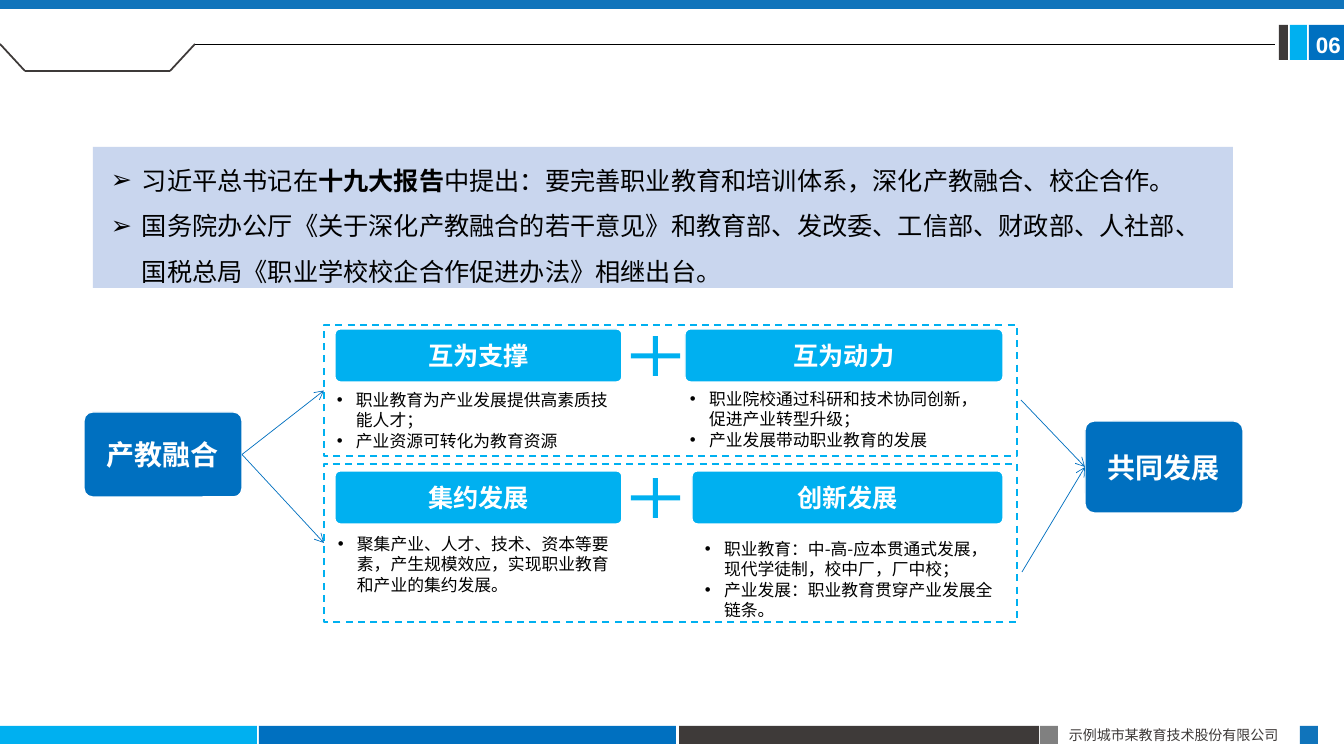
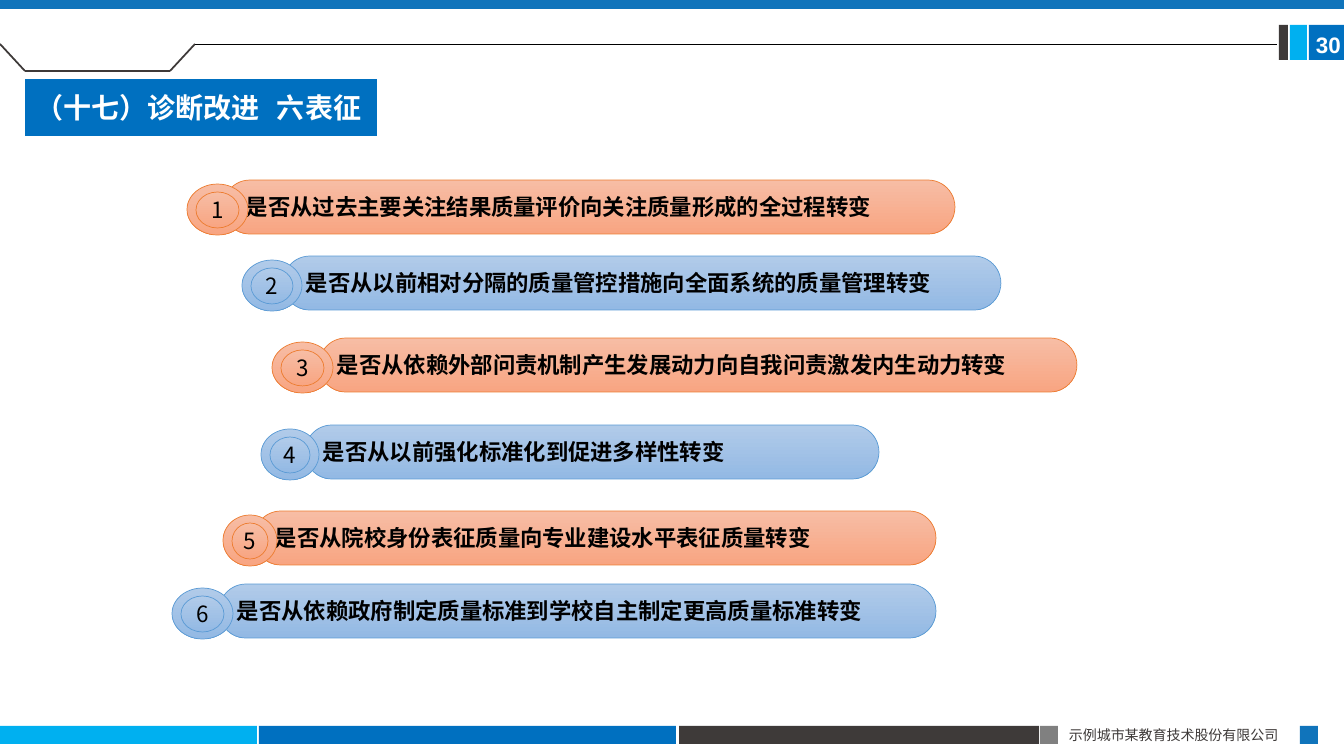
import lxml.etree
import pptx
import pptx.dml.color
import pptx.enum.dml
import pptx.enum.shapes
import pptx.enum.text
import pptx.oxml.ns
import pptx.util

PX = 12192000 / 1344  # EMU in one px
SKY, BLUE, BAND, DARK = "00B0F0", "0070C0", "1074BB", "3E3A39"
WHITE, BLACK = "FFFFFF", "000000"
CJK = "Noto Sans CJK SC"

color = pptx.dml.color.RGBColor.from_string
qn = pptx.oxml.ns.qn
SHAPE = pptx.enum.shapes.MSO_SHAPE
STRAIGHT = pptx.enum.shapes.MSO_CONNECTOR.STRAIGHT
ALIGN = pptx.enum.text.PP_ALIGN
ANCHOR = pptx.enum.text.MSO_ANCHOR


def add_box(page, kind, bounds, fill=None, line=None, line_width=1, adjust=None):
    """Add a shape, or a text box if kind is None; a pair of fills is a gradient."""
    bounds = [round(length * PX) for length in bounds]
    if kind is None:
        return page.shapes.add_textbox(*bounds)
    box = page.shapes.add_shape(kind, *bounds)
    box.shadow.inherit = False
    if adjust is not None:
        box.adjustments[0] = adjust
    if isinstance(fill, tuple):
        box.fill.gradient()
        box.fill.gradient_angle = 270
        for stop, shade in zip(box.fill.gradient_stops, fill):
            stop.color.rgb = color(shade)
    else:
        box.fill.solid()
        box.fill.fore_color.rgb = color(fill)
    if line:
        box.line.color.rgb = color(line)
        box.line.width = pptx.util.Pt(line_width)
    else:
        box.line.fill.background()
    return box


def write(box, *texts, size=12, ink=BLACK, bold=False, font=CJK, align=ALIGN.LEFT,
          anchor=ANCHOR.TOP, insets=(10, 5, 10, 5), wrap=True,
          bullet=None, indent=0, spacing=None, tab=None):
    """Write one paragraph per text; parts between ** are bold."""
    frame = box.text_frame
    frame.word_wrap = wrap
    frame.auto_size = pptx.enum.text.MSO_AUTO_SIZE.NONE
    frame.vertical_anchor = anchor
    (frame.margin_left, frame.margin_top,
     frame.margin_right, frame.margin_bottom) = [round(inset * PX) for inset in insets]
    for number, text in enumerate(texts):
        para = frame.add_paragraph() if number else frame.paragraphs[0]
        para.alignment = align
        if spacing:
            para.line_spacing = spacing
        properties = para._p.get_or_add_pPr()
        if bullet:
            properties.set("marL", str(round(indent * PX)))
            properties.set("indent", str(round(-indent * PX)))
            lxml.etree.SubElement(properties, qn("a:buFont"), typeface="Arial")
            lxml.etree.SubElement(properties, qn("a:buChar"), char=bullet)
        if tab:
            stops = lxml.etree.SubElement(properties, qn("a:tabLst"))
            lxml.etree.SubElement(stops, qn("a:tab"), pos=str(round(tab * PX)), algn="l")
        for index, part in enumerate(text.split("**")):
            span = para.add_run()
            span.text = part
            span.font.size = pptx.util.Pt(size)
            span.font.bold = bold or index % 2 == 1
            span.font.color.rgb = color(ink)
            span.font.name = font
            lxml.etree.SubElement(span._r.get_or_add_rPr(), qn("a:ea"), typeface=CJK)


deck = pptx.Presentation()
deck.slide_width = round(1344 * PX)
deck.slide_height = round(756 * PX)
TITLE_ONLY, BLANK = deck.slide_layouts[5], deck.slide_layouts[6]
fusion_page = deck.slides.add_slide(BLANK)
signs_page = deck.slides.add_slide(TITLE_ONLY)

# Bands, page number, header rule and footer of every page
BANDS = [
    (0, 0, 1344, 9, BAND),
    (0, 726, 257, 18, SKY),
    (259, 726, 417, 18, BLUE),
    (679, 726, 360, 18, DARK),
    (1040, 726, 18, 18, "808080"),
    (1300, 726, 18, 18, BAND),
    (1309, 25, 35, 35, BLUE),
    (1290, 25, 17, 35, SKY),
    (1279, 25, 9, 35, DARK),
]
NOTCH = [(0, 44), (25, 71), (170, 71), (195, 44)]
lines = []  # connector, colour, width in points, has arrowhead

for page, number, rule_end in [(fusion_page, "06", 1275), (signs_page, "30", 1277)]:
    for *bounds, fill in BANDS:
        add_box(page, SHAPE.RECTANGLE, bounds, fill)
    write(add_box(page, None, (1059, 722, 242, 27)), "示例城市某教育技术股份有限公司",
          size=10, ink=DARK, align=ALIGN.JUSTIFY)
    write(add_box(page, None, (1306, 26, 38, 37)), number,
          size=16, ink=WHITE, bold=True, font="Arial", wrap=False)
    segments = [(*pair, DARK, 1.25) for pair in zip(NOTCH, NOTCH[1:])]
    segments.append((NOTCH[-1], (rule_end, 44), BLACK, 0.5))
    for start, end, ink, width in segments:
        ends = [round(length * PX) for length in start + end]
        lines.append((page.shapes.add_connector(STRAIGHT, *ends), ink, width, False))

# Page 06: policy panel
panel = add_box(fusion_page, SHAPE.RECTANGLE, (93, 147, 1140, 141), "C9D6EE")
write(panel,
      "习近平总书记在**十九大报告**中提出：要完善职业教育和培训体系，深化产教融合、校企合作。",
      "国务院办公厅《关于深化产教融合的若干意见》和教育部、发改委、工信部、财政部、人社部、"
      "国税总局《职业学校校企合作促进办法》相继出台。",
      size=18, font="Calibri", bullet="➢", indent=31, spacing=1.5, insets=(18, 3, 13, 0))

# Page 06: start and goal, with two dashed frames between them
hubs = []
for text, bounds in [("产教融合", (84, 412, 158, 85)), ("共同发展", (1085, 421, 158, 92))]:
    hub = add_box(fusion_page, SHAPE.ROUNDED_RECTANGLE, bounds, BLUE, WHITE, adjust=0.1)
    write(hub, text, size=20, ink=WHITE, bold=True, align=ALIGN.CENTER, anchor=ANCHOR.MIDDLE)
    hubs.append(hub)
start_hub, goal_hub = hubs

# frame bounds, top of the headings, start of the arrow to the goal,
# cards: heading, heading left and width, body bounds, body texts
ROWS = [
    ((324, 325, 693, 131), 329, (1021, 400), [
        ("互为支撑", 335, 287, (327, 385, 295, 71),
         ["职业教育为产业发展提供高素质技能人才；", "产业资源可转化为教育资源"]),
        ("互为动力", 685, 318, (680, 384, 323, 71),
         ["职业院校通过科研和技术协同创新，促进产业转型升级；", "产业发展带动职业教育的发展"]),
    ]),
    ((324, 464, 693, 158), 471, (1022, 572), [
        ("集约发展", 335, 287, (328, 529, 295, 71),
         ["聚集产业、人才、技术、资本等要素，产生规模效应，实现职业教育和产业的集约发展。"]),
        ("创新发展", 692, 311, (695, 534, 316, 92),
         ["职业教育：中-高-应本贯通式发展，现代学徒制，校中厂，厂中校；",
          "产业发展：职业教育贯穿产业发展全链条。"]),
    ]),
]
for frame_bounds, top, exit_point, cards in ROWS:
    row_frame = add_box(fusion_page, SHAPE.RECTANGLE, frame_bounds, WHITE, SKY, 1.25)
    row_frame.line.dash_style = pptx.enum.dml.MSO_LINE.DASH
    for heading, left, width, body_bounds, body in cards:
        card = add_box(fusion_page, SHAPE.ROUNDED_RECTANGLE, (left, top, width, 53),
                       SKY, WHITE, adjust=0.1)
        write(card, heading, size=18, ink=WHITE, bold=True,
              align=ALIGN.CENTER, anchor=ANCHOR.MIDDLE)
        write(add_box(fusion_page, None, body_bounds), *body, bullet="•", indent=19)
    add_box(fusion_page, SHAPE.MATH_PLUS, (622, top, 67, 54), SKY, adjust=0.092)

    entry = fusion_page.shapes.add_connector(STRAIGHT, 0, 0, 0, 0)
    entry.begin_connect(start_hub, 3)
    entry.end_connect(row_frame, 1)
    exit_start = [round(length * PX) for length in exit_point]
    leave = fusion_page.shapes.add_connector(STRAIGHT, *exit_start, *exit_start)
    leave.end_connect(goal_hub, 1)
    lines += [(entry, BLUE, 0.5, True), (leave, BLUE, 0.5, True)]

# Page 30: title
title = signs_page.shapes.title
title.left, title.top, title.width, title.height = [
    round(length * PX) for length in (25, 79, 352, 57)]
title.fill.solid()
title.fill.fore_color.rgb = color(BLUE)
write(title, "（十七）诊断改进\t六表征", size=20, ink=WHITE, bold=True, font="Calibri",
      anchor=ANCHOR.MIDDLE, tab=242)

# Page 30: six numbered bars, orange and blue in turn
PALETTES = [(("F7BDA5", "F8A582"), "ED7D31"), (("B1CBE9", "93B9E4"), "5B9BD5")]
# text, bar left, top and width, text inset, badge left and width
SIGNS = [
    ("是否从过去主要关注结果质量评价向关注质量形成的全过程转变", 223, 180, 732, 15, 187, 61),
    ("是否从以前相对分隔的质量管控措施向全面系统的质量管理转变", 283, 256, 718, 15, 242, 60),
    ("是否从依赖外部问责机制产生发展动力向自我问责激发内生动力转变", 319, 338, 758, 10, 272, 61),
    ("是否从以前强化标准化到促进多样性转变", 305, 425, 574, 10, 261, 58),
    ("是否从院校身份表征质量向专业建设水平表征质量转变", 254, 511, 682, 13, 223, 54),
    ("是否从依赖政府制定质量标准到学校自主制定更高质量标准转变", 219, 584, 717, 10, 172, 61),
]
for index, (text, left, top, width, inset, badge_left, badge_width) in enumerate(SIGNS):
    fill, edge = PALETTES[index % 2]
    bar = add_box(signs_page, SHAPE.ROUNDED_RECTANGLE, (left, top, width, 54),
                  fill, edge, 0.5, adjust=0.5)
    write(bar, text, size=16, bold=True, anchor=ANCHOR.MIDDLE, insets=(inset, 5, 10, 5))
    add_box(signs_page, SHAPE.OVAL, (badge_left, top + 4, badge_width, 51), fill, edge, 0.5)
    badge = add_box(signs_page, SHAPE.OVAL, (badge_left + 9, top + 12, badge_width - 18, 36),
                    fill, edge, 0.5)
    write(badge, str(index + 1), size=16, align=ALIGN.CENTER, anchor=ANCHOR.MIDDLE,
          insets=(0, 0, 0, 0))

# One style pass for all lines and arrows
for connector, ink, width, has_arrow in lines:
    connector.line.color.rgb = color(ink)
    connector.line.width = pptx.util.Pt(width)
    if has_arrow:
        lxml.etree.SubElement(connector.get_or_add_ln(), qn("a:tailEnd"), type="arrow")
    lxml.etree.SubElement(connector.element.spPr, qn("a:effectLst"))

deck.save("out.pptx")
